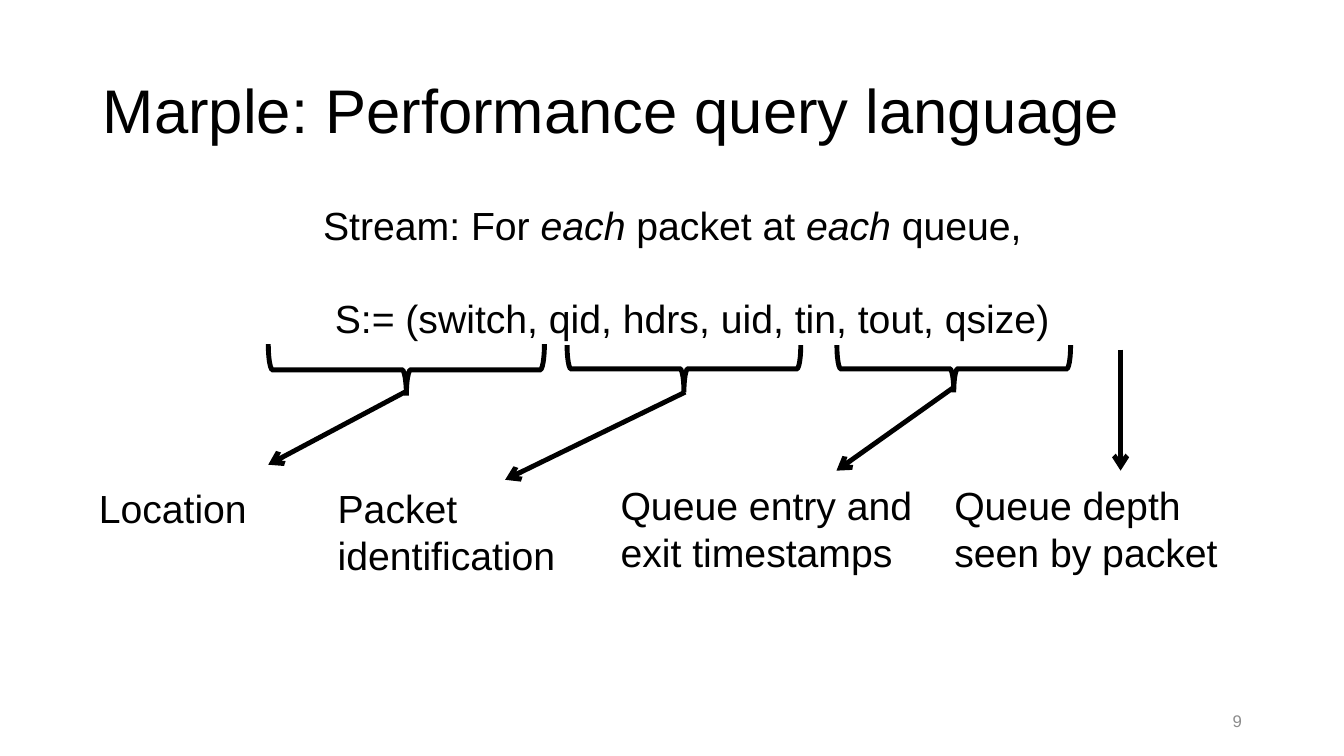
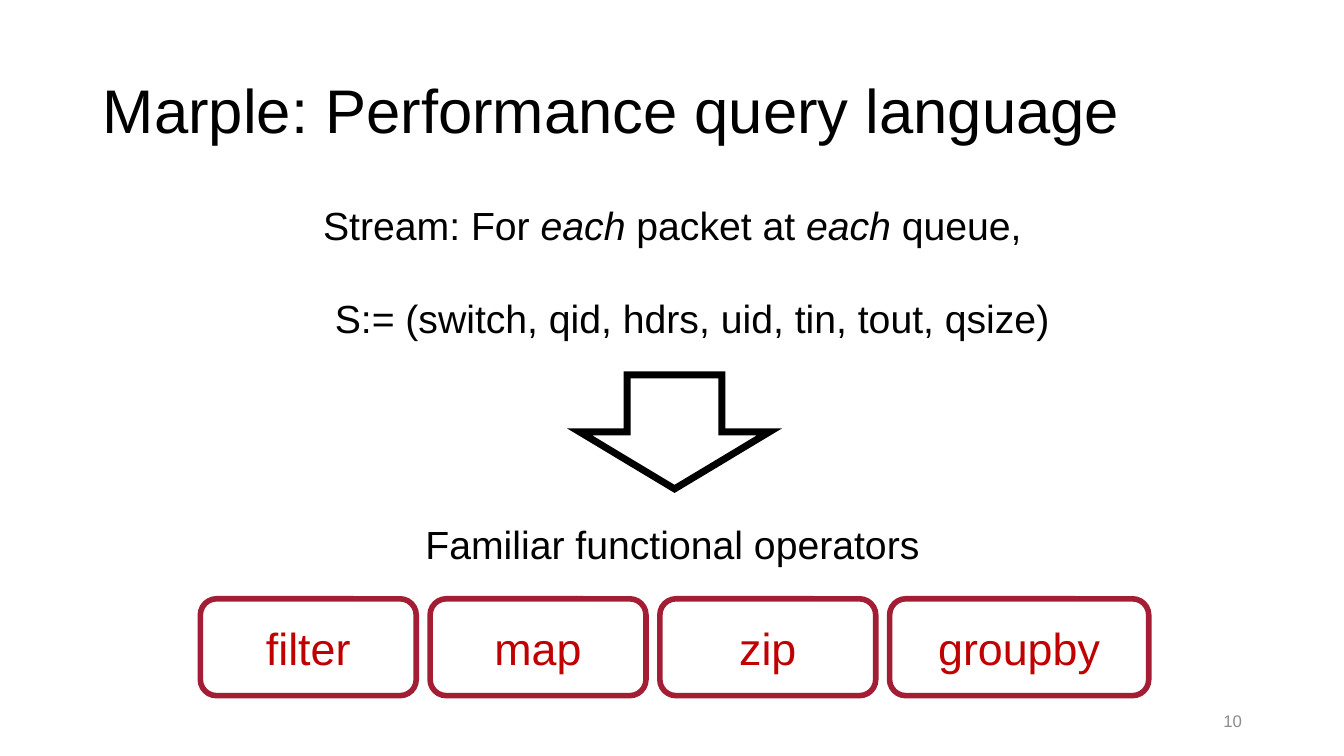
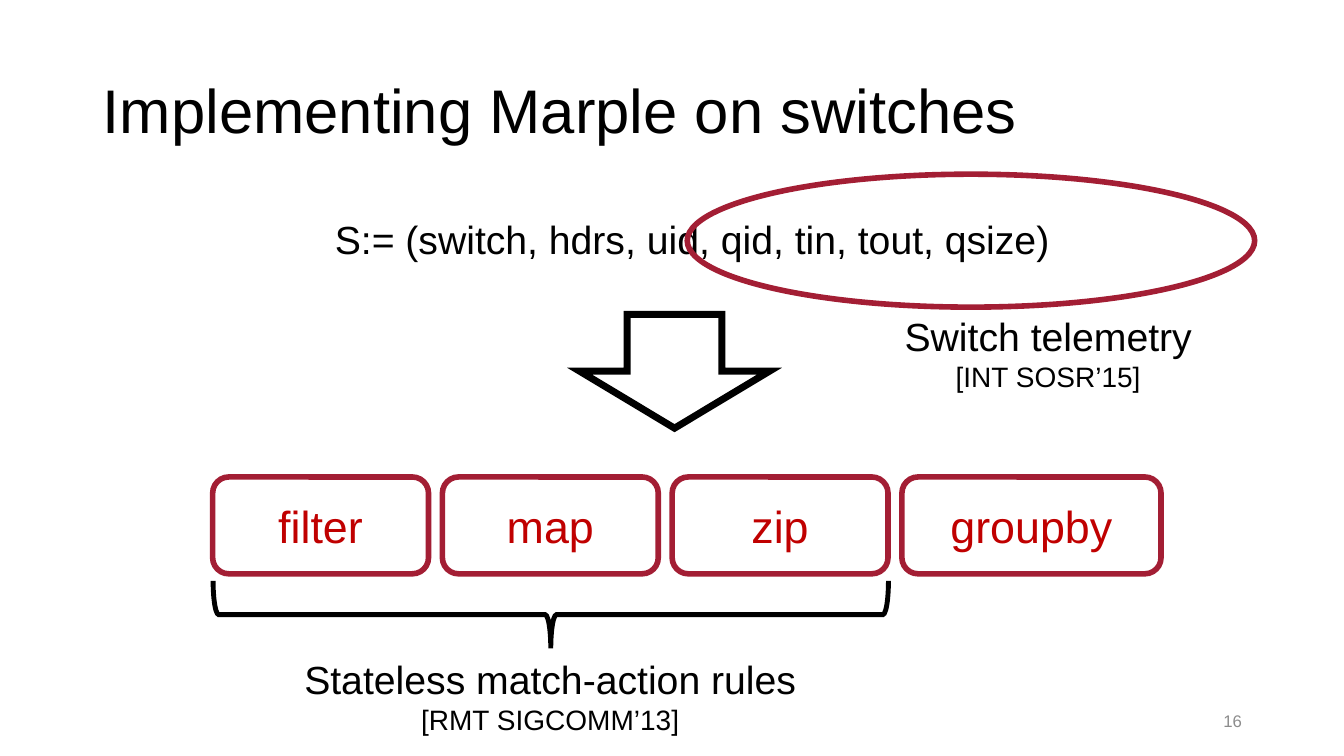
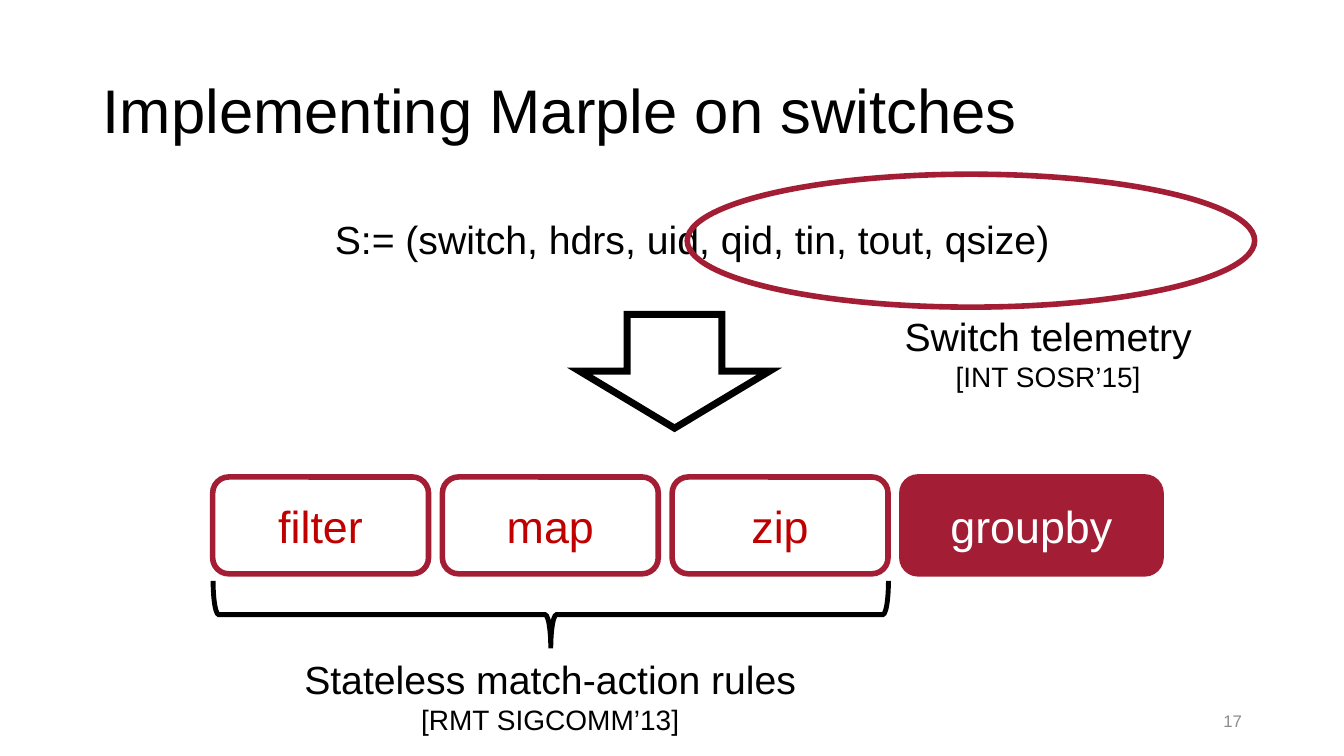
from lxml.etree import SubElement
from pptx import Presentation
from pptx.dml.color import RGBColor
from pptx.enum.shapes import MSO_CONNECTOR as Connector, MSO_SHAPE as Shape
from pptx.enum.text import MSO_ANCHOR as Anchor, MSO_AUTO_SIZE as AutoSize, PP_ALIGN as Align
from pptx.oxml.ns import qn
from pptx.util import Cm, Pt

BLACK = RGBColor(0x00, 0x00, 0x00)
WHITE = RGBColor(0xFF, 0xFF, 0xFF)
GREY = RGBColor(0x8C, 0x8C, 0x8C)
CRIMSON = RGBColor(0xA3, 0x1E, 0x34)
RED = RGBColor(0xC0, 0x00, 0x00)

FONT = "Arial"
TITLE_AND_CONTENT, TITLE_ONLY = 1, 5
CONTENT_LEFT, CONTENT_WIDTH = 2.34, 29.21
OPERATORS = (("filter", 5.44), ("map", 5.44), ("zip", 5.44), ("groupby", 6.53))
OPERATOR_GAP = 0.35
STREAM = (("Stream: For ", False), ("each ", True), ("packet at ", False),
          ("each ", True), ("queue,", False))


class Deck:
    """Holds the presentation style and the slide being built."""

    def __init__(self):
        self.presentation = Presentation()
        self.presentation.slide_width = Cm(33.87)
        self.presentation.slide_height = Cm(19.05)
        self.slide = None

    def add_slide(self, layout, title, number):
        layouts = self.presentation.slide_layouts
        self.slide = self.presentation.slides.add_slide(layouts[layout])
        shape = self.slide.shapes.title
        self.place(shape, CONTENT_LEFT, 1.02, CONTENT_WIDTH, 3.68)
        paragraph = shape.text_frame.paragraphs[0]
        paragraph.line_spacing = 0.9
        self.add_text(paragraph, title, 44, align=Align.LEFT)
        frame = self.text_box(23.93, 17.65, 7.62, 1.02, ((str(number), 12),), Align.RIGHT, GREY)
        frame.vertical_anchor = Anchor.MIDDLE
        frame.auto_size = AutoSize.NONE

    def place(self, shape, left, top, width, height):
        shape.left, shape.top = Cm(left), Cm(top)
        shape.width, shape.height = Cm(width), Cm(height)

    def add_text(self, paragraph, text, size=28, color=BLACK, align=Align.CENTER, italic=False):
        paragraph.alignment = align
        run = paragraph.add_run()
        run.text = text
        font = run.font
        font.name, font.size, font.italic = FONT, Pt(size), italic
        font.color.rgb = color

    def indent(self, paragraph, left=0.0, level=0):
        paragraph.level = level
        properties = paragraph._p.get_or_add_pPr()
        properties.set("marL", str(Cm(left)))
        properties.set("indent", "0")
        SubElement(properties, qn("a:buNone"))

    def body(self, lines):
        shape = self.slide.placeholders[1]
        self.place(shape, CONTENT_LEFT, 5.08, CONTENT_WIDTH, 12.09)
        frame = shape.text_frame
        frame.auto_size = AutoSize.NONE
        for index, (runs, space, left, level) in enumerate(lines):
            paragraph = frame.add_paragraph() if index else frame.paragraphs[0]
            paragraph.line_spacing = 0.9
            paragraph.space_before = Pt(space)
            self.indent(paragraph, left, level)
            for text, italic in runs:
                self.add_text(paragraph, text, italic=italic)

    def text_box(self, left, top, width, height, lines, align=Align.LEFT, color=BLACK):
        box = self.slide.shapes.add_textbox(Cm(left), Cm(top), Cm(width), Cm(height))
        frame = box.text_frame
        frame.word_wrap = True
        frame.auto_size = AutoSize.SHAPE_TO_FIT_TEXT
        for index, (text, size) in enumerate(lines):
            paragraph = frame.add_paragraph() if index else frame.paragraphs[0]
            self.add_text(paragraph, text, size, color, align)
        return frame

    def outline(self, kind, left, top, width, height, color=BLACK, weight=3.5, fill=None):
        shape = self.slide.shapes.add_shape(kind, Cm(left), Cm(top), Cm(width), Cm(height))
        shape.shadow.inherit = False
        if fill is None:
            shape.fill.background()
        else:
            shape.fill.solid()
            shape.fill.fore_color.rgb = fill
        shape.line.color.rgb = color
        shape.line.width = Pt(weight)
        SubElement(shape.line._get_or_add_ln(), qn("a:miter"), lim="800000")
        return shape

    def brace(self, left, top, width, height):
        middle_x, middle_y = left + width / 2, top + height / 2
        shape = self.outline(Shape.RIGHT_BRACE, middle_x - height / 2,
                             middle_y - width / 2, height, width)
        shape.rotation = 90

    def arrow(self, start_x, start_y, end_x, end_y):
        connector = self.slide.shapes.add_connector(
            Connector.STRAIGHT, Cm(start_x), Cm(start_y), Cm(end_x), Cm(end_y))
        connector.line.color.rgb = BLACK
        connector.line.width = Pt(3.5)
        SubElement(connector.line._get_or_add_ln(), qn("a:tailEnd"), type="arrow")
        SubElement(connector._element.spPr, qn("a:effectLst"))

    def block_arrow(self, top):
        self.outline(Shape.DOWN_ARROW, 14.61, top, 4.78, 2.87, weight=5)

    def operators(self, left, top, filled=None):
        for name, width in OPERATORS:
            chosen = name == filled
            shape = self.outline(Shape.ROUNDED_RECTANGLE, left, top, width, 2.44,
                                 CRIMSON, 4, CRIMSON if chosen else None)
            frame = shape.text_frame
            frame.vertical_anchor = Anchor.MIDDLE
            self.add_text(frame.paragraphs[0], name, 32, WHITE if chosen else RED)
            left += width + OPERATOR_GAP

    def language_slide(self, number, extra=()):
        self.add_slide(TITLE_AND_CONTENT, "Marple: Performance query language", number)
        schema = (("S:= (switch, qid, hdrs, uid, tin, tout, qsize) ", False),)
        self.body(((STREAM, 10, 0, 0), (schema, 36, 1.27, 1)) + extra)

    def switch_slide(self, number, filled=None):
        self.add_slide(TITLE_ONLY, "Implementing Marple on switches", number)
        self.operators(5.36, 12.02, filled)
        self.brace(5.37, 14.64, 17.02, 1.7)
        self.text_box(4.19, 16.38, 19.35, 2.31,
                      (("Stateless match-action rules", 28), ("[RMT SIGCOMM’13]", 20)),
                      Align.CENTER)
        frame = self.text_box(CONTENT_LEFT, 5.31, CONTENT_WIDTH, 1.45,
                              (("S:= (switch, hdrs, uid, qid, tin, tout, qsize) ", 28),),
                              Align.CENTER)
        self.indent(frame.paragraphs[0], 1.27, 1)
        self.block_arrow(7.92)
        self.outline(Shape.OVAL, 17.32, 4.39, 14.3, 3.35, CRIMSON, 4)
        self.text_box(19.28, 7.75, 14.27, 2.31,
                      (("Switch telemetry", 28), ("[INT SOSR’15]", 20)), Align.CENTER)


def main():
    deck = Deck()

    deck.language_slide(9)
    for left, top, width, height, label in (
            (2.24, 12.09, 5.51, 1.45, "Location"),
            (8.26, 12.09, 6.45, 2.64, "Packet identification"),
            (15.39, 12.01, 8.15, 2.64, "Queue entry and exit timestamps"),
            (23.8, 12.01, 8.15, 2.64, "Queue depth seen by packet")):
        deck.text_box(left, top, width, height, ((label, 28),))
    deck.brace(6.76, 8.67, 6.96, 1.3)
    for left in (14.29, 21.09):
        deck.brace(left, 8.7, 5.89, 1.19)
    for ends in ((10.24, 9.86, 6.76, 11.71), (17.27, 9.88, 12.73, 12.09),
                 (24.05, 9.75, 21.08, 11.86), (28.24, 8.81, 28.24, 11.86)):
        deck.arrow(*ends)

    deck.language_slide(10, (((("Familiar functional operators", False),), 131, 0, 0),))
    deck.operators(5.05, 15.09)
    deck.block_arrow(9.45)

    deck.switch_slide(16)
    deck.switch_slide(17, filled="groupby")

    deck.presentation.save("out.pptx")


if __name__ == "__main__":
    main()
